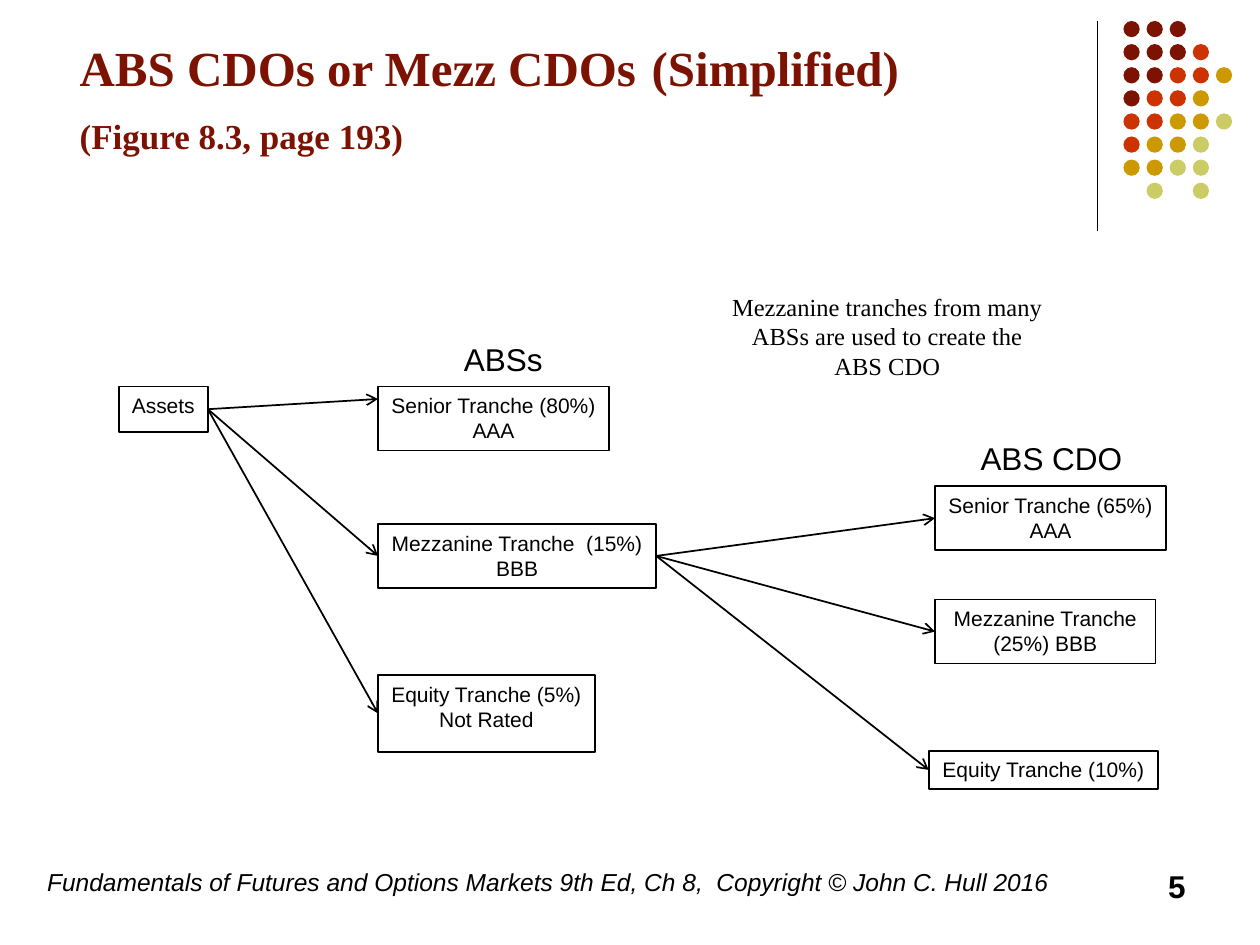
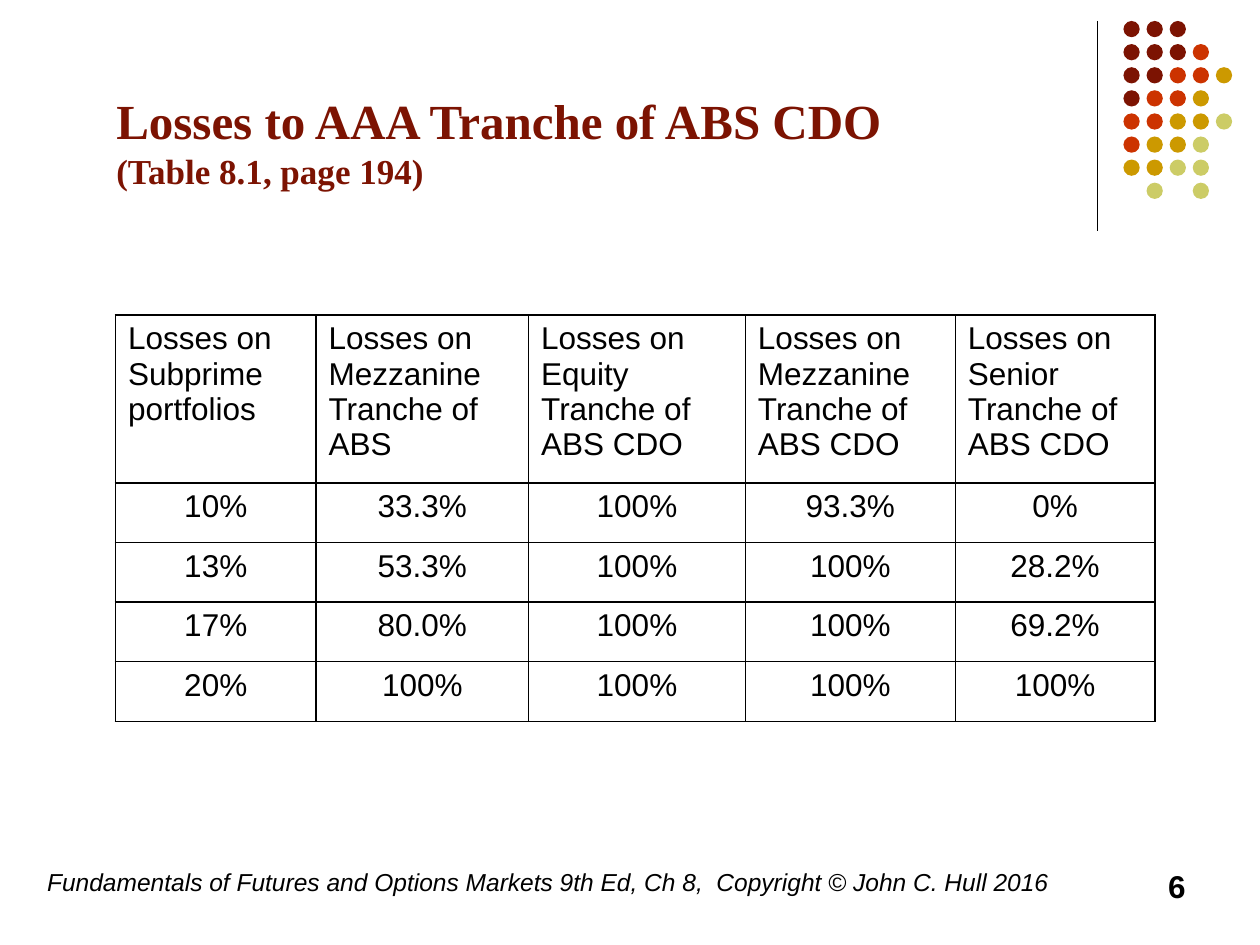
from lxml import etree
from pptx import Presentation
from pptx import util as u
from pptx.dml.color import RGBColor
from pptx.enum import shapes, text
from pptx.oxml.ns import qn

WIDE, HIGH = u.Inches(10), u.Inches(7.5)
COLS, ROWS = 120, 90
HUES = {"ink": "000000", "paper": "FFFFFF", "wine": "7C1302",
        "red": "CC3300", "gold": "CC9900", "lime": "CCCC66"}
KEYS = {"w": "wine", "r": "red", "g": "gold", "l": "lime"}
DOTS = ["www", "wwwr", "wwrrg", "wrrg", "rrggl", "rggl", "ggll", " l l"]
SANS, SERIF = "Arial", "Times New Roman"
LEFT, MID, RIGHT = text.PP_ALIGN.LEFT, text.PP_ALIGN.CENTER, text.PP_ALIGN.RIGHT
FOOT = "Fundamentals of Futures and Options Markets 9th Ed, Ch 8,  Copyright © John C. Hull 2016"
HEADS = ["Losses on Subprime portfolios", "Losses on Mezzanine Tranche of ABS",
         "Losses on Equity Tranche of ABS CDO", "Losses on Mezzanine Tranche of ABS CDO",
         "Losses on Senior Tranche of ABS CDO"]
LOSSES = [["10%", "33.3%", "100%", "93.3%", "0%"],
          ["13%", "53.3%", "100%", "100%", "28.2%"],
          ["17%", "80.0%", "100%", "100%", "69.2%"],
          ["20%", "100%", "100%", "100%", "100%"]]


def col(n):
    """Turn grid columns into a length."""
    return round(WIDE * n / COLS)


def row(n):
    """Turn grid rows into a length."""
    return round(HIGH * n / ROWS)


def spot(box, x, y, w, h):
    """Move a part's place into the box that holds it."""
    return box[0] + x, box[1] + y, w, h


def frame(box):
    """Turn a grid box into lengths."""
    x, y, w, h = box
    return col(x), row(y), col(w), row(h)


def tint(name):
    """Look up a colour."""
    return RGBColor.from_string(HUES[name])


def write(para, words, size, face=SANS, hue="ink", bold=False, slant=False):
    """Add one styled run to a paragraph."""
    run = para.add_run()
    run.text = words
    font = run.font
    font.size, font.name, font.bold, font.italic = u.Pt(size), face, bold, slant
    font.color.rgb = tint(hue)


def label(slide, box, words, size, align=LEFT, **style):
    """Place one line or block of plain text."""
    body = slide.shapes.add_textbox(*frame(box)).text_frame
    body.word_wrap = True
    para = body.paragraphs[0]
    para.alignment = align
    write(para, words, size, **style)


def title(slide, box, parts, pitch=None):
    """Set a title from (words, size) parts, where None breaks the line."""
    body = slide.shapes.add_textbox(*frame(box)).text_frame
    body.word_wrap = True
    body.vertical_anchor = text.MSO_ANCHOR.BOTTOM
    para = body.paragraphs[0]
    if pitch:
        para.line_spacing = u.Pt(pitch)
    for part in parts:
        if part is None:
            para.add_line_break()
        else:
            write(para, *part, face=SERIF, hue="wine", bold=True)


def line(slide, start, end, width):
    """Draw a straight line between two grid points."""
    rule = slide.shapes.add_connector(
        shapes.MSO_CONNECTOR.STRAIGHT, col(start[0]), row(start[1]), col(end[0]), row(end[1]))
    rule.line.width = u.Pt(width)
    rule.line.color.rgb = tint("ink")
    etree.SubElement(rule._element.spPr, qn("a:effectLst"))
    return rule


def arrow(slide, start, goal, end=None):
    """Join two boxes, side to side or to a given end point."""
    rule = line(slide, (0, 0), end or (0, 0), 1)
    rule.begin_connect(start, 3)
    if end is None:
        rule.end_connect(goal, 1)
    stroke = rule._element.spPr.find(qn("a:ln"))
    etree.SubElement(stroke, qn("a:tailEnd"), type="arrow")


def block(slide, box, lines, wrap=False):
    """Draw an outlined box with centred lines of text."""
    shape = slide.shapes.add_shape(shapes.MSO_SHAPE.RECTANGLE, *frame(box))
    shape.shadow.inherit = False
    shape.fill.solid()
    shape.fill.fore_color.rgb = tint("paper")
    shape.line.color.rgb = tint("ink")
    shape.line.width = u.Pt(1)
    body = shape.text_frame
    body.word_wrap = wrap
    body.vertical_anchor = text.MSO_ANCHOR.TOP
    for i, words in enumerate(lines):
        para = body.add_paragraph() if i else body.paragraphs[0]
        para.alignment = MID
        write(para, words, 12)
    return shape


def corner(slide, box):
    """Draw the rule and the grid of dots in the top corner."""
    x, y, _, h = box
    line(slide, (x, y), (x, y + h), 0.75)
    for j, hues in enumerate(DOTS):
        for i, key in enumerate(hues):
            if key == " ":
                continue
            place = spot(box, 2.5 + 2.2 * i, 2.2 * j, 1.55, 1.55)
            dot = slide.shapes.add_shape(shapes.MSO_SHAPE.OVAL, *frame(place))
            dot.shadow.inherit = False
            dot.fill.solid()
            dot.fill.fore_color.rgb = tint(KEYS[key])
            dot.line.fill.background()


def footer(slide, box, page):
    """Write the source line and the page number."""
    label(slide, spot(box, 0, 0, 99.2, 6), FOOT, 14, slant=True)
    label(slide, spot(box, 82.8, 0, 28, 6), str(page), 18, RIGHT, bold=True)


def tranches(slide, box):
    """Draw how assets become ABSs and then an ABS CDO."""
    def put(x, y, w, h, *lines, wrap=False):
        return block(slide, spot(box, x, y, w, h), lines, wrap)

    assets = put(0, 9.6, 8.5, 4.35, "Assets")
    senior = put(24.7, 9.6, 22, 6.1, "Senior Tranche (80%)", "AAA")
    mezz = put(24.7, 22.7, 26.5, 6.1, "Mezzanine Tranche  (15%)", "BBB")
    equity = put(24.7, 37.1, 20.65, 7.3, "Equity Tranche (5%)", "Not Rated")
    cdo = [put(77.75, 19.1, 22, 6.1, "Senior Tranche (65%)", "AAA"),
           put(77.75, 29.9, 21, 6.1, "Mezzanine Tranche (25%) BBB", wrap=True),
           put(77.15, 44.3, 21.85, 3.65, "Equity Tranche (10%)")]
    arrow(slide, assets, senior, spot(box, 24.7, 10.8, 0, 0)[:2])
    for goal in (mezz, equity):
        arrow(slide, assets, goal)
    for goal in cdo:
        arrow(slide, mezz, goal)
    label(slide, spot(box, 56.7, 0, 33, 9.7),
          "Mezzanine tranches from many ABSs are used to create the ABS CDO",
          14, MID, face=SERIF)
    label(slide, spot(box, 31.7, 4.6, 10.3, 4.8), "ABSs", 18)
    label(slide, spot(box, 80.9, 14, 21.7, 4.8), "ABS CDO", 18)


def edge(cell):
    """Give a cell thin dark borders on all sides."""
    props = cell._tc.get_or_add_tcPr()
    for side in ("lnL", "lnR", "lnT", "lnB"):
        stroke = etree.SubElement(props, qn("a:" + side), w=str(u.Pt(1)))
        fill = etree.SubElement(stroke, qn("a:solidFill"))
        etree.SubElement(fill, qn("a:srgbClr"), val=HUES["ink"])


def losses(slide, box):
    """Fill the box with the table of losses."""
    data = [HEADS] + LOSSES
    grid = slide.shapes.add_table(len(data), len(HEADS), *frame(box)).table
    grid.first_row = grid.horz_banding = False
    for part, wide in zip(grid.columns, (19.1, 20.25, 20.65, 20, 19)):
        part.width = col(box[2] * wide / 99)
    top = 16
    for j, cells in enumerate(data):
        grid.rows[j].height = row((box[3] - top) / len(LOSSES) if j else top)
        for i, words in enumerate(cells):
            cell = grid.cell(j, i)
            edge(cell)
            cell.fill.background()
            para = cell.text_frame.paragraphs[0]
            para.alignment = MID if j else LEFT
            write(para, words, 18)


def page(deck, number):
    """Add a blank slide with the shared corner and footer."""
    slide = deck.slides.add_slide(deck.slide_layouts[6])
    corner(slide, (104.5, 2, 13, 20))
    footer(slide, (3.3, 82, 110.8, 6), number)
    return slide


def main():
    """Build both slides and save the deck."""
    deck = Presentation()
    deck.slide_width, deck.slide_height = WIDE, HIGH

    slide = page(deck, 5)
    title(slide, (6.4, 2.5, 93, 13),
          [("ABS CDOs or Mezz CDOs", 28), (" ", 36), ("(Simplified)", 28), None,
           ("(Figure 8.3, page 193)", 20)], pitch=33)
    tranches(slide, (11.3, 27.2, 102.6, 48))

    slide = page(deck, 6)
    title(slide, (9.9, 6.6, 81.1, 12.2),
          [("Losses to AAA Tranche of ABS CDO ", 28), ("(Table 8.1, page 194)", 20)])
    losses(slide, (11, 30, 99, 38.7))

    deck.save("out.pptx")


if __name__ == "__main__":
    main()
